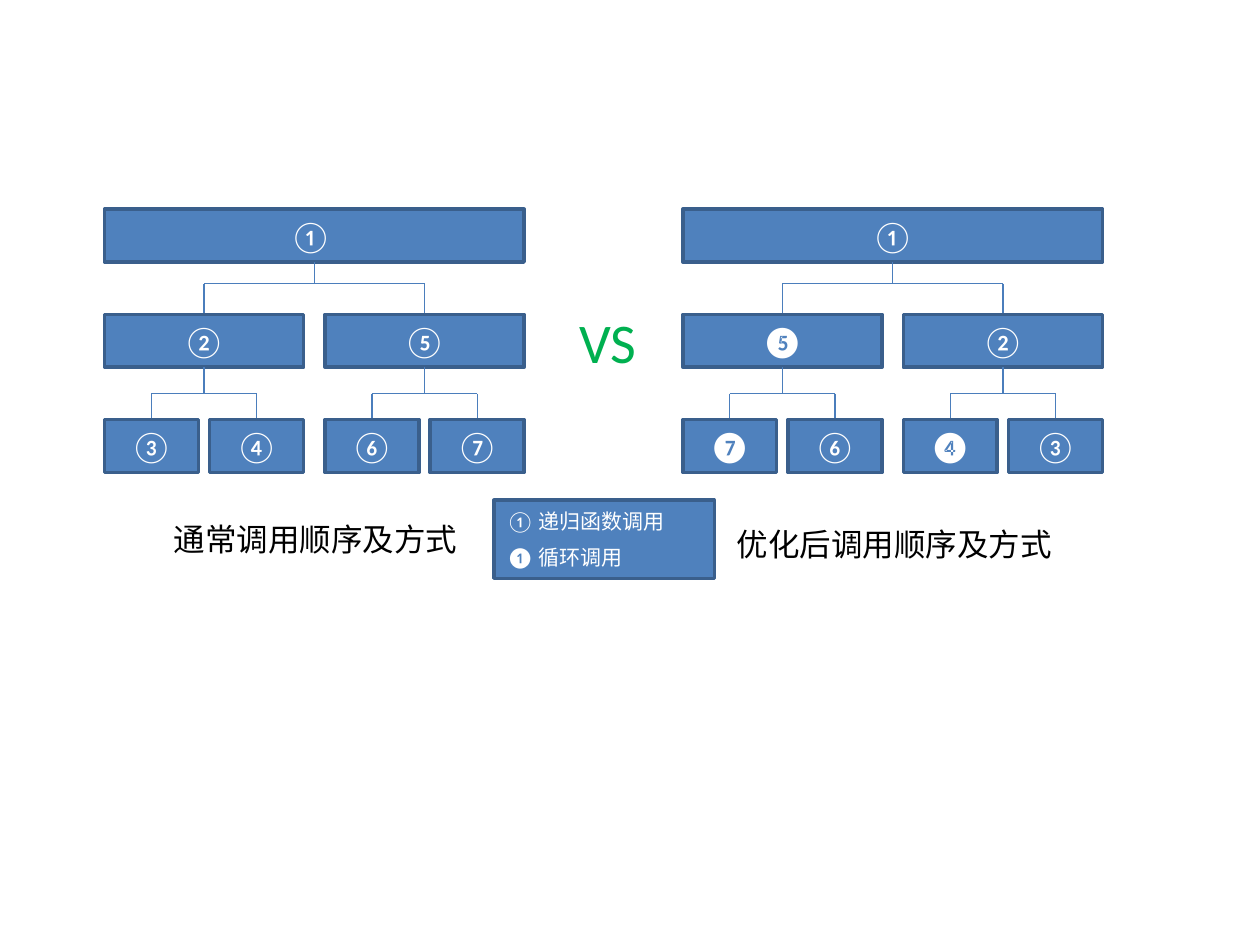
from pptx import Presentation
from pptx import util as u
from pptx.dml.color import RGBColor
from pptx.enum import shapes, text
from pptx.oxml import ns, xmlchemy as xml

BLUE = RGBColor(0x4F, 0x81, 0xBD)
EDGE = RGBColor(0x3A, 0x5F, 0x8C)
LINK = RGBColor(0x4B, 0x7E, 0xBC)
GREEN = RGBColor(0x00, 0xB0, 0x50)
WHITE = RGBColor(0xFF, 0xFF, 0xFF)
BLACK = RGBColor(0x00, 0x00, 0x00)
LATIN = "Calibri"
HAN = "Noto Sans CJK SC"

ROW, STEP = 0.42, 0.835
LEVELS = [(0.17, 0.17), (0.09, 0.21)]


def assign(item, **values):
    for name, value in values.items():
        setattr(item, name, value)


def write(para, words, face, size, color):
    run = para.add_run()
    run.text = words
    assign(run.font, name=face, size=u.Pt(size))
    run.font.color.rgb = color
    east = xml.OxmlElement("a:ea")
    east.set("typeface", face)
    run.font._element.find(ns.qn("a:latin")).addnext(east)


def panel(slide, *box):
    shape = slide.shapes.add_shape(
        shapes.MSO_SHAPE.RECTANGLE, *map(u.Inches, box))
    shape.shadow.inherit = False
    shape.fill.solid()
    shape.fill.fore_color.rgb = BLUE
    shape.line.color.rgb = EDGE
    shape.line.width = u.Pt(2)
    assign(shape.text_frame, vertical_anchor=text.MSO_ANCHOR.MIDDLE,
           word_wrap=True)
    return shape.text_frame


def link(slide, *ends):
    line = slide.shapes.add_connector(
        shapes.MSO_CONNECTOR.STRAIGHT, *map(u.Inches, ends))
    line.line.color.rgb = LINK
    line.line.width = u.Pt(0.75)
    line._element.spPr.append(xml.OxmlElement("a:effectLst"))


def tree(slide, marks, x, y, width, depth=0):
    para = panel(slide, x, y, width, ROW).paragraphs[0]
    para.alignment = text.PP_ALIGN.CENTER
    write(para, marks[0], LATIN, 18, WHITE)
    if len(marks) == 1:
        return
    gap, drop = LEVELS[depth]
    half = (width - gap) / 2
    mid, base = x + width / 2, y + ROW
    bar, below = base + drop, y + STEP
    left, right = x + half / 2, x + width - half / 2
    link(slide, mid, base, mid, bar)
    link(slide, left, bar, right, bar)
    cut = len(marks) // 2 + 1
    for start, center, part in ((x, left, marks[1:cut]),
                                (x + half + gap, right, marks[cut:])):
        link(slide, center, bar, center, below)
        tree(slide, part, start, below, half, depth + 1)


def label(slide, words, box, face, size, color, wrap=False):
    frame = slide.shapes.add_textbox(*map(u.Inches, box)).text_frame
    frame.word_wrap = wrap
    write(frame.paragraphs[0], words, face, size, color)


def legend(slide, rows, *box):
    frame = panel(slide, *box)
    for i, (mark, words) in enumerate(rows):
        para = frame.add_paragraph() if i else frame.paragraphs[0]
        assign(para, alignment=text.PP_ALIGN.LEFT, space_before=u.Pt(6))
        write(para, mark + " ", LATIN, 12, WHITE)
        write(para, words, HAN, 12, WHITE)


def compare(slide):
    tree(slide, ["① ", *"②③④⑤⑥⑦"], 0.83, 1.66, 3.33)
    tree(slide, "①❺❼⑥②❹③", 5.42, 1.66, 3.33)
    label(slide, "VS", (4.5, 2.39, 0.92, 0.94), LATIN, 32, GREEN, True)
    legend(slide, [("①", "递归函数调用"), ("❶", "循环调用")],
           3.92, 3.97, 1.75, 0.62)
    label(slide, "通常调用顺序及方式", (1.28, 4.08, 2.47, 0.4), HAN, 18, BLACK)
    label(slide, "优化后调用顺序及方式", (5.75, 4.12, 2.73, 0.4), HAN, 18, BLACK)


deck = Presentation()
assign(deck, slide_width=u.Inches(10), slide_height=u.Inches(7.5))
compare(deck.slides.add_slide(deck.slide_layouts[6]))
deck.save("out.pptx")
